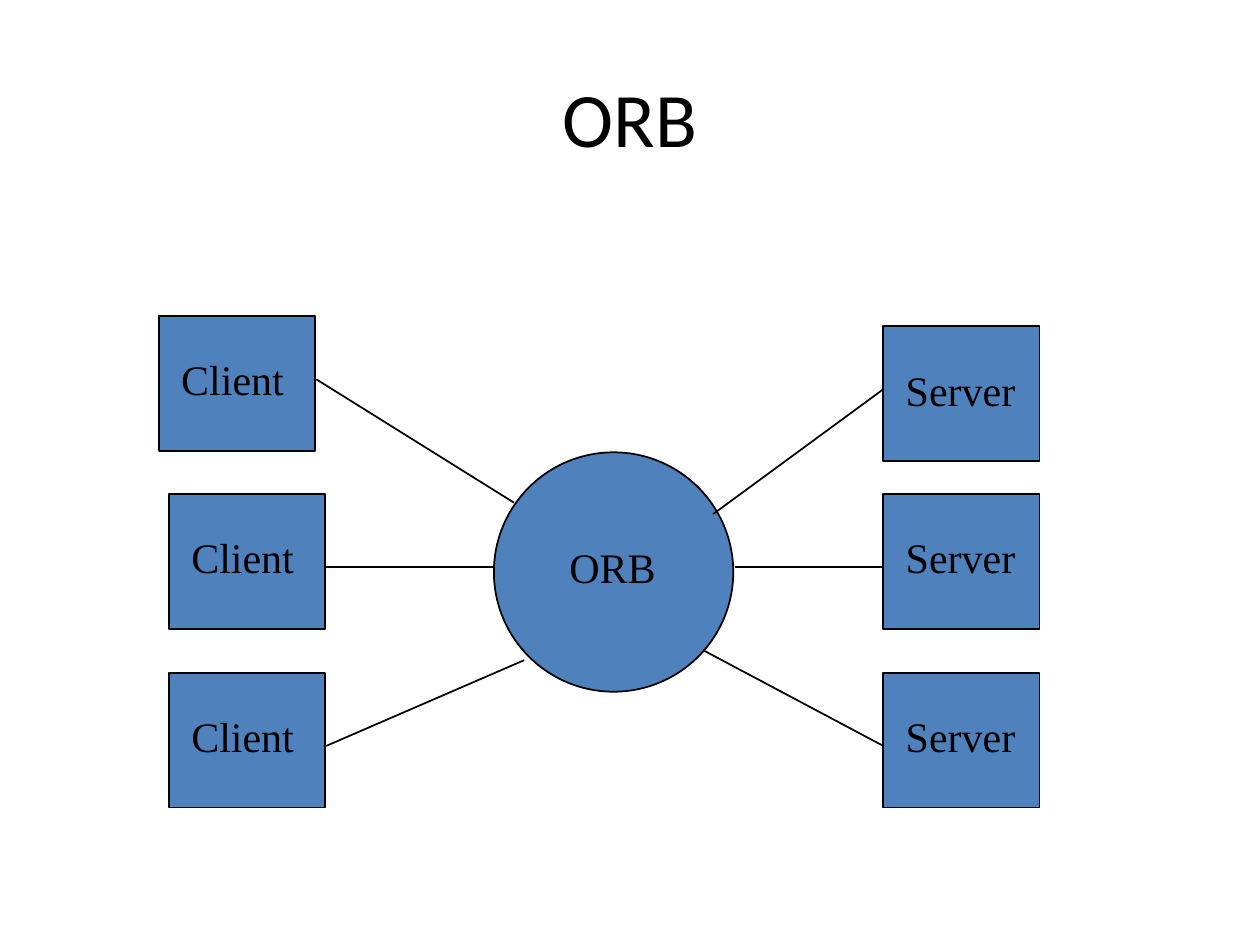
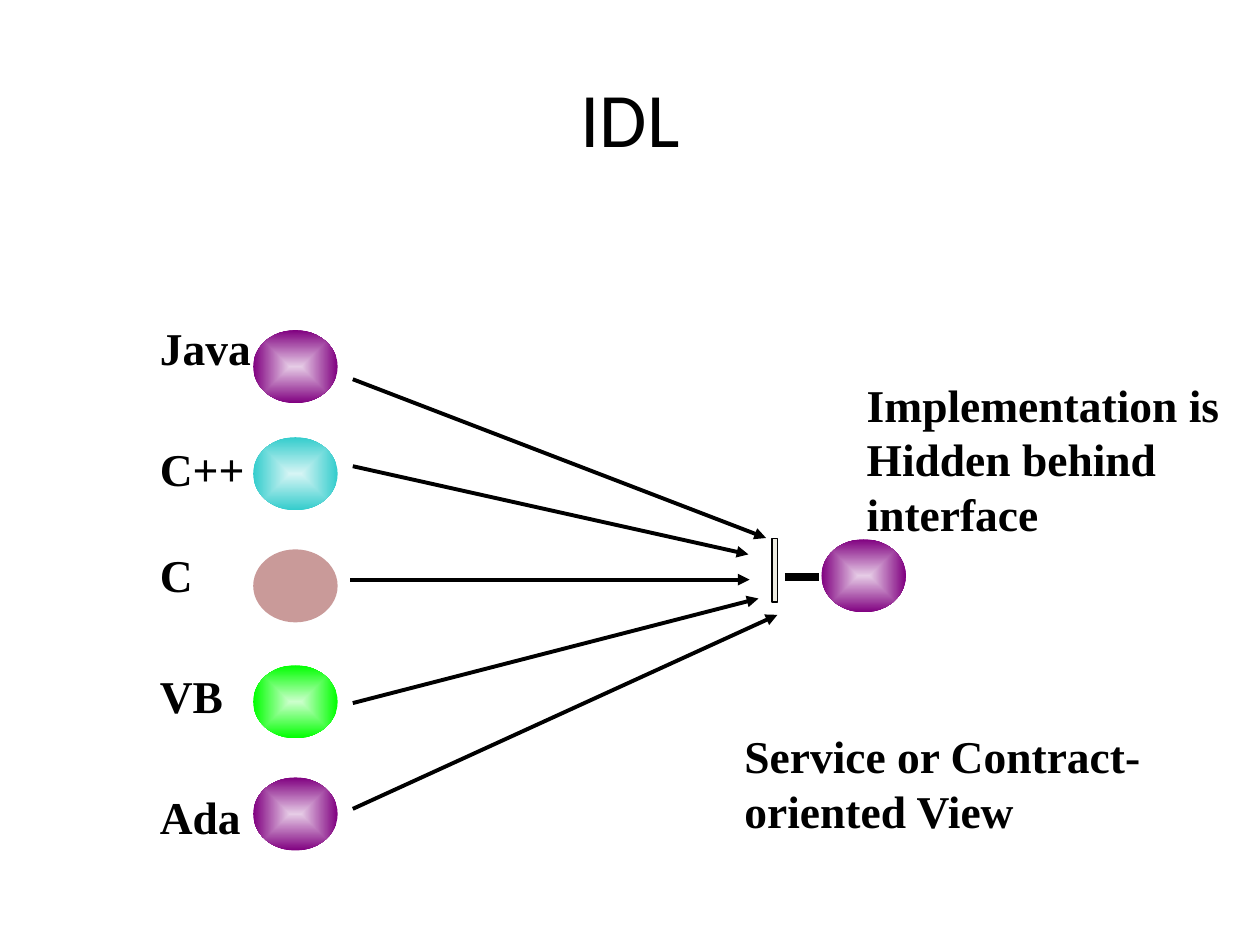
"""Build two slides on CORBA: the ORB between clients and servers, and IDL."""
import dataclasses

import pptx
import pptx.dml.color
import pptx.enum.shapes
import pptx.enum.text
import pptx.oxml
import pptx.oxml.ns
import pptx.oxml.xmlchemy
import pptx.util

PX = 9144
RGB = pptx.dml.color.RGBColor.from_string
SHAPES = pptx.enum.shapes.MSO_SHAPE
new_element = pptx.oxml.xmlchemy.OxmlElement
qualified = pptx.oxml.ns.qn


@dataclasses.dataclass(frozen=True)
class Theme:
    ink: str = "000000"
    node: str = "4F81BD"
    bar: str = "EEECE1"
    purple: tuple = ("E6CCE6", "800080")
    teal: tuple = ("D6F5F5", "33CCCC")
    green: tuple = ("CCFFCC", "00FF00")
    red: str = "953735"
    title_font: str = "Calibri"
    text_font: str = "Times New Roman"
    title_size: int = 44
    node_size: int = 24
    label_size: int = 26


theme = Theme()


def add_text(slide, text, left, top, width, height, size, bold=False, wrap=True):
    box = slide.shapes.add_textbox(left * PX, top * PX, width * PX, height * PX)
    frame = box.text_frame
    frame.text = text
    frame.word_wrap = wrap
    frame.auto_size = pptx.enum.text.MSO_AUTO_SIZE.SHAPE_TO_FIT_TEXT
    font = frame.paragraphs[0].runs[0].font
    font.name = theme.text_font
    font.size = pptx.util.Pt(size)
    font.bold = bold
    font.color.rgb = RGB(theme.ink)


def add_line(slide, start, end, width, arrow=False):
    line = slide.shapes.add_connector(
        pptx.enum.shapes.MSO_CONNECTOR.STRAIGHT,
        start[0] * PX, start[1] * PX, end[0] * PX, end[1] * PX)
    line.line.color.rgb = RGB(theme.ink)
    line.line.width = pptx.util.Pt(width)
    properties = line._element.spPr
    if arrow:
        tail = new_element("a:tailEnd")
        tail.set("type", "triangle")
        properties.find(qualified("a:ln")).append(tail)
    properties.append(new_element("a:effectLst"))


presentation = pptx.Presentation()
presentation.slide_width = 1000 * PX
presentation.slide_height = 750 * PX

slides = []
for heading in ("ORB", "IDL"):
    slide = presentation.slides.add_slide(presentation.slide_layouts[5])
    title = slide.shapes.title
    title.left, title.top, title.width, title.height = 50 * PX, 30 * PX, 900 * PX, 125 * PX
    title.text_frame.text = heading
    title.text_frame.vertical_anchor = pptx.enum.text.MSO_ANCHOR.MIDDLE
    paragraph = title.text_frame.paragraphs[0]
    paragraph.alignment = pptx.enum.text.PP_ALIGN.CENTER
    font = paragraph.runs[0].font
    font.name = theme.title_font
    font.size = pptx.util.Pt(theme.title_size)
    font.color.rgb = RGB(theme.ink)
    slides.append(slide)
orb_slide, idl_slide = slides

BOX = (SHAPES.RECTANGLE, 124, 107, 8, 25, 133)
HUB = (SHAPES.OVAL, 190, 190, 50, 66, 125)
nodes = [
    ("Client", 126, 251, BOX),
    ("Client", 134, 392, BOX),
    ("Client", 134, 534, BOX),
    ("Server", 701, 259, BOX),
    ("Server", 701, 392, BOX),
    ("Server", 701, 534, BOX),
    ("ORB", 392, 359, HUB),
]
for name, left, top, (kind, width, height, inset, drop, text_width) in nodes:
    node = orb_slide.shapes.add_shape(kind, left * PX, top * PX, width * PX, height * PX)
    node.shadow.inherit = False
    node.fill.solid()
    node.fill.fore_color.rgb = RGB(theme.node)
    node.line.color.rgb = RGB(theme.ink)
    node.line.width = pptx.util.Pt(1)
    add_text(orb_slide, name, left + inset, top + drop, text_width, 50, theme.node_size)

links = [
    ((251, 301), (408, 399)),
    ((259, 450), (391, 450)),
    ((259, 592), (416, 524)),
    ((701, 309), (566, 408)),
    ((701, 450), (583, 450)),
    ((701, 592), (558, 516)),
]
for start, end in links:
    add_line(orb_slide, start, end, 1)

balls = [
    (201, 262, theme.purple),
    (201, 347, theme.teal),
    (201, 436, theme.red),
    (201, 528, theme.green),
    (201, 617, theme.purple),
    (652, 428, theme.purple),
]
for left, top, paint in balls:
    ball = idl_slide.shapes.add_shape(SHAPES.OVAL, left * PX, top * PX, 67 * PX, 58 * PX)
    ball.shadow.inherit = False
    ball.line.fill.background()
    properties = ball._element.spPr
    if isinstance(paint, tuple):
        ball.fill.gradient()
        for stop, position, color in zip(ball.fill.gradient_stops, (0, 1), paint):
            stop.position = position
            stop.color.rgb = RGB(color)
        linear = properties.find(".//" + qualified("a:lin"))
        linear.getparent().replace(linear, pptx.oxml.parse_xml(
            f'<a:path {pptx.oxml.ns.nsdecls("a")} path="shape">'
            '<a:fillToRect l="50000" t="50000" r="50000" b="50000"/></a:path>'))
    else:
        ball.fill.solid()
        ball.fill.fore_color.rgb = RGB(paint)
        alpha = new_element("a:alpha")
        alpha.set("val", "50000")
        properties.find(".//" + qualified("a:srgbClr")).append(alpha)

languages = [
    ("Java", 249, 93, (280, 301), (608, 427)),
    ("C++", 345, 88, (280, 370), (594, 440)),
    ("C", 429, 47, (278, 460), (595, 460)),
    ("VB", 525, 71, (280, 558), (602, 475)),
    ("Ada", 621, 84, (280, 642), (617, 488)),
]
for name, top, width, start, end in languages:
    add_text(idl_slide, name, 117, top, width, 54, theme.label_size, bold=True, wrap=False)
    add_line(idl_slide, start, end, 2.25, arrow=True)

for stem_start, stem_end in ((623, 650), (620, 620)):
    add_line(idl_slide, (stem_start, 458), (stem_end, 458), 4.5)

captions = [
    ("Implementation is Hidden behind interface", 678, 294, 322, 140),
    ("Service or Contract-oriented View", 581, 573, 375, 97),
]
for text, left, top, width, height in captions:
    add_text(idl_slide, text, left, top, width, height, theme.label_size, bold=True)

interface_bar = idl_slide.shapes.add_shape(
    SHAPES.MATH_MINUS, 612 * PX, 345 * PX, 6 * PX, 215 * PX)
interface_bar.shadow.inherit = False
interface_bar.fill.solid()
interface_bar.fill.fore_color.rgb = RGB(theme.bar)
interface_bar.line.color.rgb = RGB(theme.ink)
interface_bar.line.width = pptx.util.Pt(0.75)

presentation.save("out.pptx")
